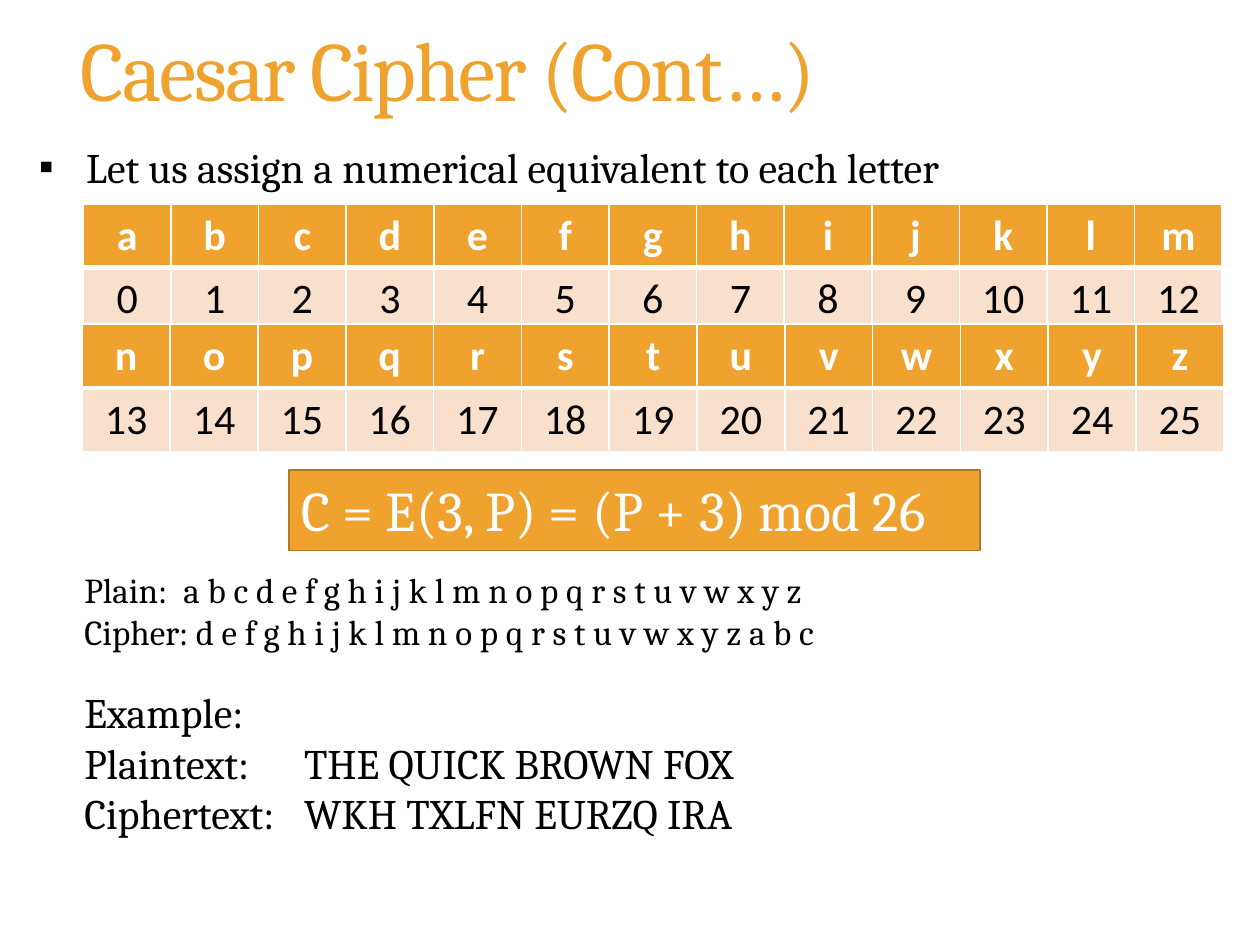
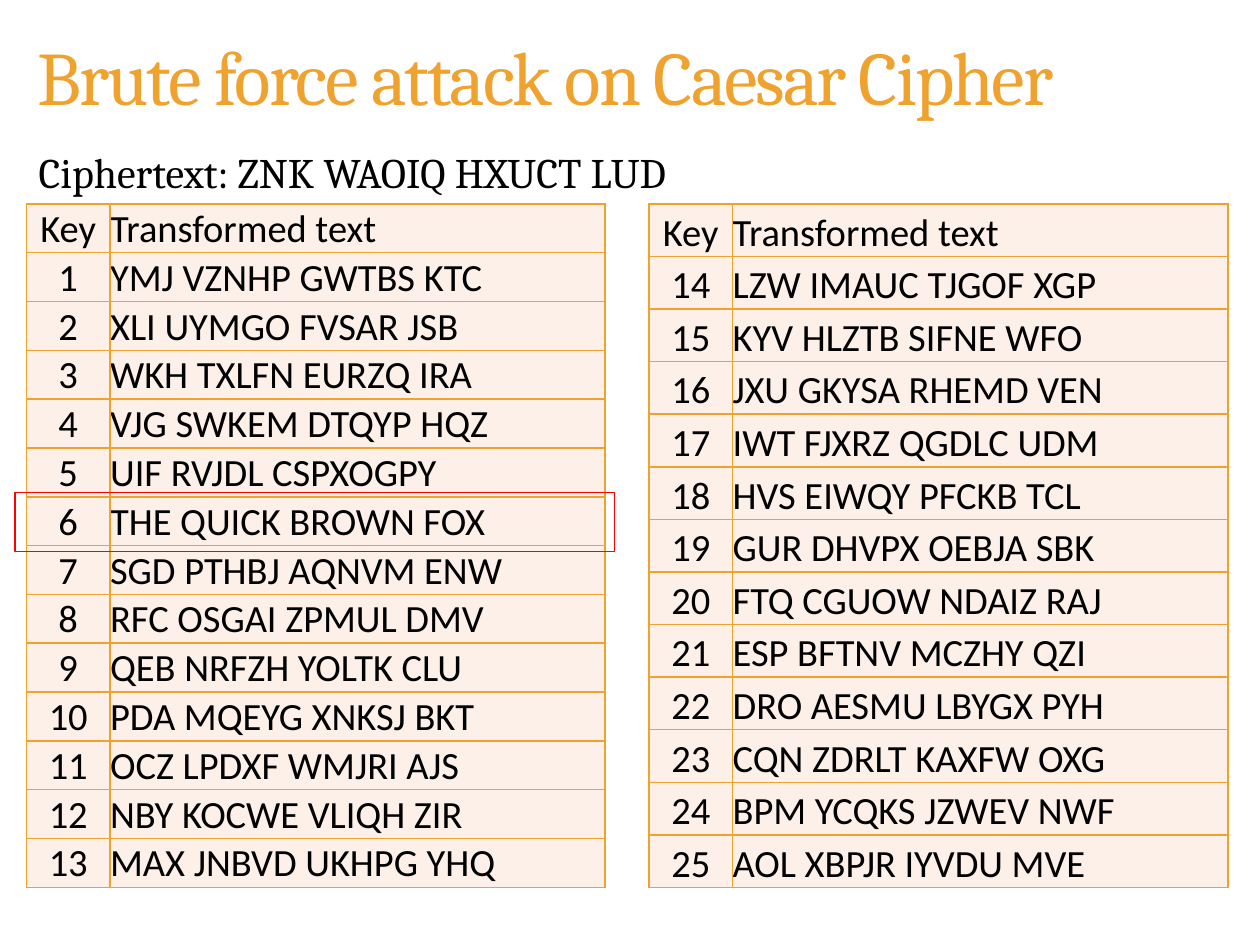
from dataclasses import dataclass

import lxml.etree
import pptx
import pptx.dml.color
import pptx.enum.shapes
import pptx.enum.text
import pptx.oxml.ns
import pptx.util

Cm = pptx.util.Cm
Pt = pptx.util.Pt
PP_ALIGN = pptx.enum.text.PP_ALIGN
MSO_ANCHOR = pptx.enum.text.MSO_ANCHOR
RECTANGLE = pptx.enum.shapes.MSO_SHAPE.RECTANGLE


@dataclass(frozen=True)
class Theme:
    accent: str = "F0A22E"
    accent_dark: str = "B27822"
    tint: str = "F9E0CD"
    tint_light: str = "FCF0E8"
    ink: str = "000000"
    paper: str = "FFFFFF"
    alert: str = "FF0000"
    serif: str = "Cambria"
    sans: str = "Calibri"
    title: float = 48
    title_long: float = 43.2
    formula: float = 32
    body: float = 24
    key_row: float = 22
    alphabet: float = 20


THEME = Theme()

# Boxes are left, top, width, height in centimetres.
LETTER_ROWS = [
    ("abcdefghijklm", 0, (1.68, 4.11, 22.96, 2.54)),
    ("nopqrstuvwxyz", 13, (1.66, 6.53, 23.01, 2.54)),
]
ALPHABETS = [
    "Plain:\ta b c d e f g h i j k l m n o p q r s t u v w x y z",
    "Cipher: d e f g h i j k l m n o p q r s t u v w x y z a b c",
]
EXAMPLE = [
    "Example:",
    "Plaintext:\tTHE QUICK BROWN FOX",
    "Ciphertext:\tWKH TXLFN EURZQ IRA",
]
TRANSFORMED = [
    "YMJ VZNHP GWTBS KTC", "XLI UYMGO FVSAR JSB", "WKH TXLFN EURZQ IRA",
    "VJG SWKEM DTQYP HQZ", "UIF RVJDL CSPXOGPY", "THE QUICK BROWN FOX",
    "SGD PTHBJ AQNVM ENW", "RFC OSGAI ZPMUL DMV", "QEB NRFZH YOLTK CLU",
    "PDA MQEYG XNKSJ BKT", "OCZ LPDXF WMJRI AJS", "NBY KOCWE VLIQH ZIR",
    "MAX JNBVD UKHPG YHQ", "LZW IMAUC TJGOF XGP", "KYV HLZTB SIFNE WFO",
    "JXU GKYSA RHEMD VEN", "IWT FJXRZ QGDLC UDM", "HVS EIWQY PFCKB TCL",
    "GUR DHVPX OEBJA SBK", "FTQ CGUOW NDAIZ RAJ", "ESP BFTNV MCZHY QZI",
    "DRO AESMU LBYGX PYH", "CQN ZDRLT KAXFW OXG", "BPM YCQKS JZWEV NWF",
    "AOL XBPJR IYVDU MVE",
]
FIRST_TABLE_KEYS = 13


def rgb(value):
    return pptx.dml.color.RGBColor.from_string(value)


def in_cm(box):
    return [Cm(length) for length in box]


def add_child(parent, tag, **attributes):
    child = lxml.etree.SubElement(parent, pptx.oxml.ns.qn(tag))
    for key, value in attributes.items():
        child.set(key, str(value))
    return child


def style(paragraph, size, color=THEME.ink, face=THEME.serif, bold=False,
          align=PP_ALIGN.LEFT):
    paragraph.alignment = align
    font = paragraph.font
    font.name, font.size, font.bold = face, Pt(size), bold
    font.color.rgb = rgb(color)


def place(placeholder, box):
    placeholder.left, placeholder.top, placeholder.width, placeholder.height = in_cm(box)
    placeholder.text_frame.auto_size = pptx.enum.text.MSO_AUTO_SIZE.NONE


def set_title(slide, text, box, size):
    title = slide.shapes.title
    place(title, box)
    title.text_frame.vertical_anchor = MSO_ANCHOR.MIDDLE
    paragraph = title.text_frame.paragraphs[0]
    paragraph.text = text
    paragraph.line_spacing = 0.9
    style(paragraph, size, THEME.accent)
    paragraph.runs[0]._r.get_or_add_rPr().set("spc", "-120")


def set_bullet(slide, text, box):
    body = slide.placeholders[1]
    place(body, box)
    paragraph = body.text_frame.paragraphs[0]
    paragraph.text = text
    properties = paragraph._p.get_or_add_pPr()
    indent = Cm(0.95)
    properties.set("marL", str(indent))
    properties.set("indent", str(-indent))
    add_child(properties, "a:buFont", typeface="Arial")
    add_child(properties, "a:buChar", char="▪")
    paragraph.space_before = Pt(0)
    style(paragraph, THEME.body)


def add_lines(slide, lines, box, size, tab=None):
    """Text box with one paragraph a line; tab is the stop in centimetres."""
    frame = slide.shapes.add_textbox(*in_cm(box)).text_frame
    frame.word_wrap = True
    for index, line in enumerate(lines):
        paragraph = frame.add_paragraph() if index else frame.paragraphs[0]
        paragraph.text = line
        if "\t" in line:
            stops = add_child(paragraph._p.get_or_add_pPr(), "a:tabLst")
            add_child(stops, "a:tab", pos=Cm(tab), algn="l")
        style(paragraph, size)


def add_box(slide, box, line, fill=None):
    rectangle = slide.shapes.add_shape(RECTANGLE, *in_cm(box))
    rectangle.shadow.inherit = False
    rectangle.line.color.rgb = rgb(line)
    rectangle.line.width = Pt(1)
    if fill:
        rectangle.fill.solid()
        rectangle.fill.fore_color.rgb = rgb(fill)
    else:
        rectangle.fill.background()
    return rectangle


def set_borders(cell, color, top=1, bottom=1):
    properties = cell._tc.get_or_add_tcPr()
    widths = {"a:lnL": 1, "a:lnR": 1, "a:lnT": top, "a:lnB": bottom}
    for position, (tag, width) in enumerate(widths.items()):
        border = add_child(properties, tag, w=Pt(width))
        add_child(add_child(border, "a:solidFill"), "a:srgbClr", val=color)
        properties.insert(position, border)


def add_grid(slide, rows, box, column_widths):
    """Unbanded table with equal rows; returns it for its cells to be styled."""
    table = slide.shapes.add_table(len(rows), len(rows[0]), *in_cm(box)).table
    table.horz_banding = table.first_row = False
    for column, width in zip(table.columns, column_widths):
        column.width = Cm(width)
    for row, texts in zip(table.rows, rows):
        row.height = Cm(box[3] / len(rows))
        for cell, text in zip(row.cells, texts):
            cell.text = text
    return table


def paint(cell, color):
    cell.fill.solid()
    cell.fill.fore_color.rgb = rgb(color)


def add_letter_table(slide, letters, first_number, box):
    numbers = [str(first_number + i) for i in range(len(letters))]
    table = add_grid(slide, [letters, numbers], box,
                     [box[2] / len(letters)] * len(letters))
    table.first_row = True
    for letter, number in zip(table.rows[0].cells, table.rows[1].cells):
        paint(letter, THEME.accent)
        paint(number, THEME.tint)
        set_borders(letter, THEME.paper, bottom=3)
        set_borders(number, THEME.paper, top=3)
        style(letter.text_frame.paragraphs[0], THEME.body, THEME.paper,
              THEME.sans, True, PP_ALIGN.CENTER)
        style(number.text_frame.paragraphs[0], THEME.body, face=THEME.sans,
              align=PP_ALIGN.CENTER)


def add_key_table(slide, keyed_texts, box):
    key_width = 1.69
    rows = [("Key", "Transformed text")]
    rows += [(str(key), text) for key, text in keyed_texts]
    table = add_grid(slide, rows, box, [key_width, box[2] - key_width])
    for row in table.rows:
        for cell, align in zip(row.cells, (PP_ALIGN.CENTER, PP_ALIGN.LEFT)):
            paint(cell, THEME.tint_light)
            set_borders(cell, THEME.accent)
            cell.margin_left = cell.margin_right = 0
            cell.margin_top = cell.margin_bottom = 0
            cell.vertical_anchor = MSO_ANCHOR.BOTTOM
            style(cell.text_frame.paragraphs[0], THEME.key_row,
                  face=THEME.sans, align=align)


def add_formula(slide, text, box):
    formula = add_box(slide, box, THEME.accent_dark, THEME.accent)
    frame = formula.text_frame
    frame.word_wrap = True
    frame.vertical_anchor = MSO_ANCHOR.TOP
    frame.text = text
    style(frame.paragraphs[0], THEME.formula, THEME.paper)


def build_cipher_slide(presentation):
    slide = presentation.slides.add_slide(presentation.slide_layouts[1])
    set_title(slide, "Caesar Cipher (Cont…)", (1.37, 0.33, 17.32, 2.34), THEME.title)
    set_bullet(slide, "Let us assign a numerical equivalent to each letter",
               (0.53, 2.72, 24.33, 1.27))
    for letters, first_number, box in LETTER_ROWS:
        add_letter_table(slide, letters, first_number, box)
    add_formula(slide, "C = E(3, P) = (P + 3) mod 26", (5.82, 9.47, 13.94, 1.63))
    add_lines(slide, ALPHABETS, (1.45, 11.33, 23.42, 1.96), THEME.alphabet, tab=2)
    add_lines(slide, EXAMPLE, (1.45, 13.72, 23.42, 3.33), THEME.body, tab=4.43)


def build_attack_slide(presentation):
    slide = presentation.slides.add_slide(presentation.slide_layouts[5])
    set_title(slide, "Brute force attack on Caesar Cipher",
              (0.51, 0.13, 24.38, 3.02), THEME.title_long)
    keyed_texts = list(enumerate(TRANSFORMED, start=1))
    add_key_table(slide, keyed_texts[:FIRST_TABLE_KEYS], (0.53, 4.11, 11.67, 13.78))
    add_key_table(slide, keyed_texts[FIRST_TABLE_KEYS:], (13.08, 4.11, 11.67, 13.78))
    add_lines(slide, ["Ciphertext: ZNK WAOIQ HXUCT LUD"],
              (0.53, 2.82, 17.78, 1.27), THEME.body)
    add_box(slide, (0.3, 9.93, 12.09, 1.19), THEME.alert)


def main():
    presentation = pptx.Presentation()
    presentation.slide_width, presentation.slide_height = Cm(25.4), Cm(19.05)
    build_cipher_slide(presentation)
    build_attack_slide(presentation)
    presentation.save("out.pptx")


if __name__ == "__main__":
    main()
